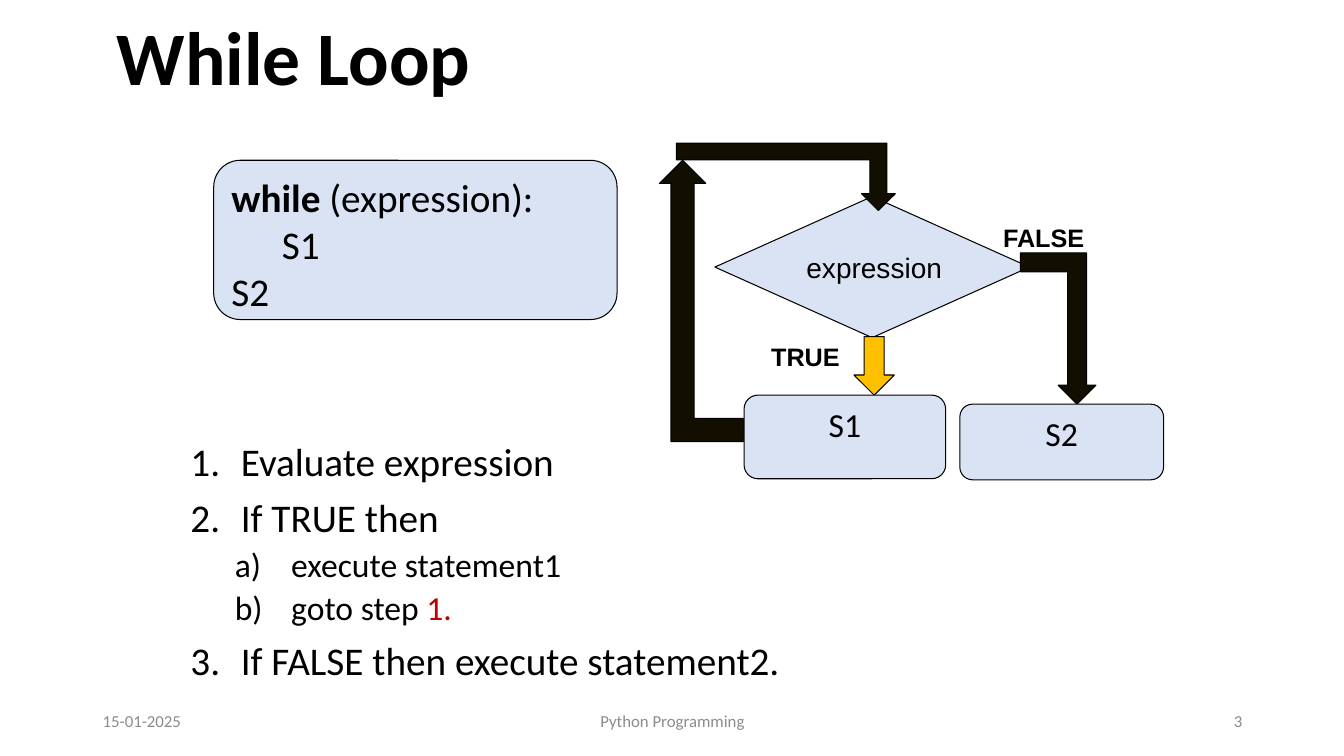
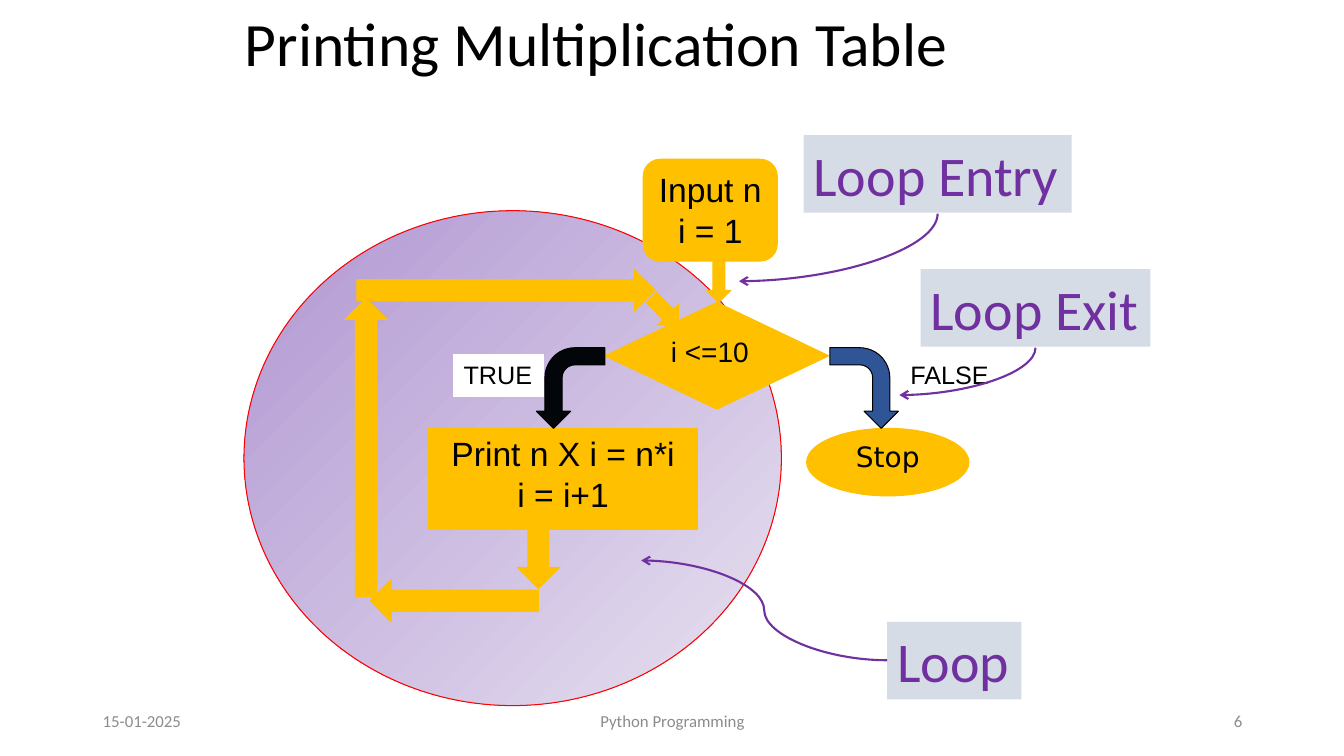
import lxml.etree
import pptx
import pptx.util
import pptx.dml.color
import pptx.enum.shapes
import pptx.enum.text
import pptx.oxml.ns

Inches = pptx.util.Inches
Pt = pptx.util.Pt
RGBColor = pptx.dml.color.RGBColor
SHAPE = pptx.enum.shapes.MSO_SHAPE
ALIGN = pptx.enum.text.PP_ALIGN
ANCHOR = pptx.enum.text.MSO_ANCHOR
qn = pptx.oxml.ns.qn

BLACK = RGBColor(0x00, 0x00, 0x00)
WHITE = RGBColor(0xFF, 0xFF, 0xFF)
RED = RGBColor(0xFF, 0x00, 0x00)
DARK_RED = RGBColor(0xC0, 0x00, 0x00)
GREY = RGBColor(0x8C, 0x8C, 0x8C)
PALE_BLUE = RGBColor(0xDA, 0xE3, 0xF3)
BLUE_GREY = RGBColor(0xD6, 0xDC, 0xE5)
BLUE = RGBColor(0x2F, 0x55, 0x97)
GOLD = RGBColor(0xFF, 0xC0, 0x00)
DARK_BROWN = RGBColor(0x13, 0x0F, 0x00)
NEAR_BLACK = RGBColor(0x02, 0x05, 0x0A)
PURPLE = RGBColor(0x70, 0x30, 0xA0)
LILAC = RGBColor(0xB1, 0x97, 0xD2)
PALE_LILAC = RGBColor(0xE7, 0xE1, 0xF0)

FOOTER_TOP, FOOTER_HEIGHT = 6.95, 0.4
FOOTER_DATE, FOOTER_NAME = "15-01-2025", "Python Programming"

WHILE_CODE = [[("while ", {"bold": True}), "(expression):"], "\tS1", "S2"]
STEPS = [
    (0, [("Evaluate expression", {})]),
    (0, [("If TRUE then", {})]),
    (1, [("execute statement1", {})]),
    (1, [("goto step ", {}), ("1.", {"color": DARK_RED})]),
    (0, [("If FALSE then execute statement2.", {})]),
]
STEP_LEVELS = [
    {"size": 28, "margin": 0.5, "indent": -0.5, "before": 10, "numbering": "arabicPeriod"},
    {"size": 24, "margin": 1, "indent": -0.56, "before": 5, "numbering": "alphaLcParenR"},
]
BRANCH_LABELS = [("FALSE", (9.85, 2.16, 1.02, 0.4)), ("TRUE", (7.55, 3.34, 0.89, 0.4))]
STATEMENTS = [("S1", (7.38, 3.92, 2, 0.83)), ("S2", (9.52, 4.01, 2.02, 0.75))]
LOOP_BENDS = [
    ((6.54, 1.59, 0.92, 2.79), "flipH"),
    ((6.71, 1.42, 2.17, 0.67), "flipV"),
    ((10.12, 2.51, 0.75, 1.5), "flipV"),
]

TABLE_BOXES = [
    (SHAPE.RECTANGLE, (4.25, 4.25, 2.67, 1), ["Print n X i = n*i", "i = i+1"],
     {"size": 24, "align": ALIGN.CENTER}),
    (SHAPE.ROUNDED_RECTANGLE, (6.38, 1.58, 1.33, 1.01), ["Input n", "i = 1"],
     {"size": 24, "align": ALIGN.CENTER, "wrap": False}),
    (SHAPE.FLOWCHART_DECISION, (6, 3, 2.22, 1.06), ["i <=10"], {"size": 20}),
    (SHAPE.OVAL, (8, 4.25, 1.61, 0.67), ["Stop"],
     {"size": 20, "font": "DejaVu Sans", "align": ALIGN.CENTER, "spacing": 0.9}),
]
TABLE_LABELS = [("TRUE", (4.5, 3.52, 0.89, 0.41)), ("FALSE", (8.93, 3.52, 0.98, 0.41))]
TABLE_ARROWS = [
    (SHAPE.DOWN_ARROW, (7.01, 2.59, 0.24, 0.41), 0),
    (SHAPE.UP_ARROW, (3.42, 2.96, 0.42, 2.96), 0),
    (SHAPE.DOWN_ARROW, (5.13, 5.26, 0.42, 0.58), 0),
    (SHAPE.UP_ARROW, (6.45, 2.9, 0.29, 0.38), 136.1),
    (SHAPE.LEFT_ARROW, (3.67, 5.75, 1.67, 0.42), 0),
    (SHAPE.RIGHT_ARROW, (3.54, 2.67, 2.96, 0.42), 0),
]
EXIT_BENDS = [
    ((5.26, 3.51, 0.8, 0.68), NEAR_BLACK, "flipV"),
    ((8.17, 3.51, 0.8, 0.68), BLUE, None),
]
CALLOUTS = [
    ("Loop", (8.8, 6.17, 1.33, 0.77), (6.36, 5.56), (8.8, 6.55), "curvedConnector3"),
    ("Loop Entry", (7.97, 1.34, 2.66, 0.77), (7.33, 2.79), (9.3, 2.12), "curvedConnector2"),
    ("Loop Exit", (9.13, 2.67, 2.28, 0.77), (8.92, 3.92), (10.27, 3.45), "curvedConnector2"),
]


def write_text(shape, paragraphs, size=18, font="Calibri", color=BLACK, bold=False,
               align=ALIGN.LEFT, anchor=ANCHOR.TOP, wrap=True, spacing=None):
    frame = shape.text_frame
    frame.word_wrap = wrap
    frame.vertical_anchor = anchor
    for index, runs in enumerate(paragraphs):
        paragraph = frame.add_paragraph() if index else frame.paragraphs[0]
        paragraph.alignment = align
        if spacing:
            paragraph.line_spacing = spacing
        for part in [runs] if isinstance(runs, str) else runs:
            text, changes = (part, {}) if isinstance(part, str) else part
            look = {"size": size, "color": color, "bold": bold, **changes}
            run = paragraph.add_run()
            run.text = text
            run.font.name = font
            run.font.size = Pt(look["size"])
            run.font.bold = look["bold"]
            run.font.color.rgb = look["color"]


def add_text(slide, at, paragraphs, **text_format):
    box = slide.shapes.add_textbox(*map(Inches, at))
    write_text(box, paragraphs, **text_format)
    return box


def add_shape(slide, kind, at, fill, line=None, rotation=0, flip=None):
    shape = slide.shapes.add_shape(kind, *map(Inches, at))
    shape.shadow.inherit = False
    shape.rotation = rotation
    shape.fill.solid()
    shape.fill.fore_color.rgb = fill
    if line is None:
        shape.line.fill.background()
    else:
        shape.line.color.rgb = line
        shape.line.width = Pt(0.75)
    if flip:
        shape._element.spPr.find(qn("a:xfrm")).set(flip, "1")
    return shape


def add_curve(slide, tip, start, geometry):
    curve = slide.shapes.add_connector(
        pptx.enum.shapes.MSO_CONNECTOR.CURVE, *map(Inches, tip + start))
    curve.line.color.rgb = PURPLE
    curve.line.width = Pt(1.5)
    properties = curve._element.spPr
    properties.find(qn("a:prstGeom")).set("prst", geometry)
    lxml.etree.SubElement(properties.find(qn("a:ln")), qn("a:headEnd"), type="arrow")
    lxml.etree.SubElement(properties, qn("a:effectLst"))


def add_title(slide, at, text, size, bold=False):
    add_text(slide, at, [text], size=size, bold=bold, anchor=ANCHOR.MIDDLE, spacing=0.9)


def add_footer(slide, number):
    for text, left, width, align in [
        (FOOTER_DATE, 0.92, 3, ALIGN.LEFT),
        (FOOTER_NAME, 4.42, 4.5, ALIGN.CENTER),
        (number, 9.42, 3, ALIGN.RIGHT),
    ]:
        add_text(slide, (left, FOOTER_TOP, width, FOOTER_HEIGHT), [text], size=12,
                 color=GREY, align=align, anchor=ANCHOR.MIDDLE)


def add_steps(slide, at):
    sized = [
        [(text, {"size": STEP_LEVELS[level]["size"], **changes}) for text, changes in runs]
        for level, runs in STEPS]
    box = add_text(slide, at, sized, spacing=0.9)
    for index, (level, _) in enumerate(STEPS):
        style = STEP_LEVELS[level]
        paragraph = box.text_frame.paragraphs[index]
        paragraph.level = level
        properties = paragraph._p.get_or_add_pPr()
        properties.set("marL", str(Inches(style["margin"])))
        properties.set("indent", str(Inches(style["indent"])))
        lxml.etree.SubElement(properties, qn("a:buAutoNum"), type=style["numbering"])
        if index:
            paragraph.space_before = Pt(style["before"])


def build_while_loop(slide):
    add_title(slide, (1.06, 0.05, 8.5, 1.11), "While Loop", 54, bold=True)
    add_steps(slide, (1.79, 4.34, 9.75, 2.75))
    code = add_shape(slide, SHAPE.ROUNDED_RECTANGLE, (2.12, 1.59, 4, 1.58), PALE_BLUE, BLACK)
    write_text(code, WHILE_CODE, size=28)
    add_shape(slide, SHAPE.FLOWCHART_DECISION, (7.09, 1.95, 3.12, 1.4), PALE_BLUE, BLACK)
    add_shape(slide, SHAPE.DOWN_ARROW, (8.47, 3.34, 0.4, 0.58), GOLD, BLACK)
    for at, flip in LOOP_BENDS:
        add_shape(slide, SHAPE.BENT_UP_ARROW, at, DARK_BROWN, BLACK, flip=flip)
    for text, at in BRANCH_LABELS:
        add_text(slide, at, [text], font="Arial", bold=True, wrap=False)
    for text, at in STATEMENTS:
        statement = add_shape(slide, SHAPE.ROUNDED_RECTANGLE, at, PALE_BLUE, BLACK)
        write_text(statement, [text], size=24, align=ALIGN.CENTER)
    condition = add_shape(slide, SHAPE.RECTANGLE, (7.9, 2.44, 1.56, 0.44), PALE_BLUE)
    write_text(condition, ["expression"], size=20, font="Arial", wrap=False)
    add_footer(slide, "3")


def build_multiplication_table(slide):
    circle = add_shape(slide, SHAPE.OVAL, (2.42, 2.09, 5.33, 4.91), LILAC, RED)
    circle.fill.gradient()
    circle.fill.gradient_angle = 315
    for stop, color in zip(circle.fill.gradient_stops, (LILAC, PALE_LILAC)):
        stop.color.rgb = color
    for kind, at, paragraphs, text_format in TABLE_BOXES:
        box = add_shape(slide, kind, at, GOLD, GOLD)
        write_text(box, paragraphs, **{"font": "Arial", **text_format})
    for text, at in TABLE_LABELS:
        label = add_shape(slide, SHAPE.RECTANGLE, at, WHITE, WHITE)
        write_text(label, [text], font="Arial", wrap=False)
    add_title(slide, (2.33, 0, 9, 0.92), "Printing Multiplication Table", 44)
    for kind, at, rotation in TABLE_ARROWS:
        add_shape(slide, kind, at, GOLD, GOLD, rotation)
    for at, fill, flip in EXIT_BENDS:
        add_shape(slide, SHAPE.BENT_ARROW, at, fill, BLACK, 90, flip)
    for text, at, tip, start, geometry in CALLOUTS:
        callout = add_shape(slide, SHAPE.RECTANGLE, at, BLUE_GREY)
        write_text(callout, [text], size=40, color=PURPLE, wrap=False)
        add_curve(slide, tip, start, geometry)
    add_footer(slide, "6")


def main():
    presentation = pptx.Presentation()
    presentation.slide_width = Inches(13.33)
    presentation.slide_height = Inches(7.5)
    for build in (build_while_loop, build_multiplication_table):
        build(presentation.slides.add_slide(presentation.slide_layouts[6]))
    presentation.save("out.pptx")


if __name__ == "__main__":
    main()
